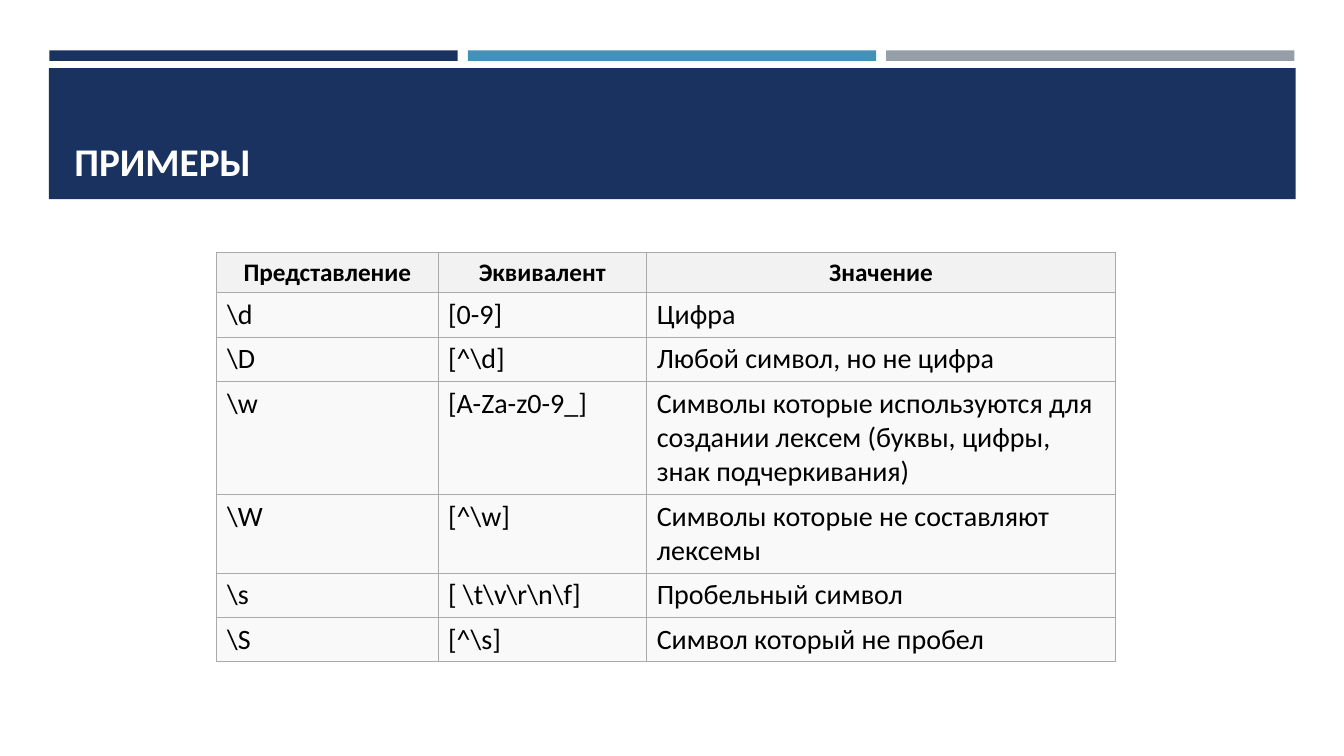
from lxml.etree import SubElement
from pptx import Presentation
from pptx.dml.color import RGBColor
from pptx.enum.shapes import MSO_SHAPE as Shape
from pptx.enum.text import MSO_ANCHOR as Anchor, PP_ALIGN as Align
from pptx.oxml.ns import qn
from pptx.util import Inches, Pt

NAVY, BLUE, GRAY = "1A3260", "4590B8", "969FA7"
WHITE, BLACK = "FFFFFF", "000000"
HEADER_FILL, BODY_FILL, BORDER = "F2F2F2", "F9F9F9", "AAAAAA"

BAR_LEFT, BAR_TOP, BAR_WIDTH, BAR_HEIGHT, BAR_STEP = 3.68, 6.67, 30.38, 1.37, 31.13
TABLE_LEFT, TABLE_TOP = 16.14, 33.33
COLUMN_WIDTHS = [16.45, 15.53, 34.88]
HEADER_HEIGHT, LINE_HEIGHT, CELL_PADDING = 5.4, 4.53, 1.34

HEADERS = ["Представление", "Эквивалент", "Значение"]
EXAMPLES = [
    (r"\d", "[0-9]", "Цифра", 1),
    (r"\D", r"[^\d]", "Любой символ, но не цифра", 1),
    (r"\w", "[A-Za-z0-9_]",
     "Символы которые используются для создании лексем (буквы, цифры, знак подчеркивания)", 3),
    (r"\W", r"[^\w]", "Символы которые не составляют лексемы", 2),
    (r"\s", r"[ \t\v\r\n\f]", "Пробельный символ", 1),
    (r"\S", r"[^\s]", "Символ который не пробел", 1),
]


def color(value):
    return RGBColor.from_string(value)


class SlideBuilder:
    font = "Calibri"

    def __init__(self, presentation):
        self.presentation = presentation
        self.slide = presentation.slides.add_slide(presentation.slide_layouts[6])

    def across(self, percent):
        return round(self.presentation.slide_width * percent / 100)

    def down(self, percent):
        return round(self.presentation.slide_height * percent / 100)

    def box(self, left, top, width, height):
        return self.across(left), self.down(top), self.across(width), self.down(height)

    def rectangle(self, left, top, width, height, fill):
        shape = self.slide.shapes.add_shape(Shape.RECTANGLE, *self.box(left, top, width, height))
        shape.shadow.inherit = False
        shape.fill.solid()
        shape.fill.fore_color.rgb = color(fill)
        shape.line.fill.background()

    def add_text(self, frame, text, size, text_color, bold=False, align=Align.LEFT):
        paragraph = frame.paragraphs[0]
        paragraph.alignment = align
        run = paragraph.add_run()
        run.text = text
        run.font.name = self.font
        run.font.size = Pt(size)
        run.font.bold = bold
        run.font.color.rgb = color(text_color)

    def title(self, left, top, width, height, text):
        shape = self.slide.shapes.add_textbox(*self.box(left, top, width, height))
        frame = shape.text_frame
        frame.word_wrap = True
        frame.vertical_anchor = Anchor.BOTTOM
        self.add_text(frame, text, 28, WHITE, bold=True)

    def table(self, left, top, widths, heights, rows):
        frame = self.slide.shapes.add_table(
            len(rows), len(widths), *self.box(left, top, sum(widths), sum(heights)))
        table = frame.table
        table.first_row = table.horz_banding = False
        for column, width in zip(table.columns, widths):
            column.width = self.across(width)
        for row, height in zip(table.rows, heights):
            row.height = self.down(height)
        for row_index, texts in enumerate(rows):
            for column_index, text in enumerate(texts):
                self.cell(table.cell(row_index, column_index), text, row_index == 0)

    def cell(self, cell, text, is_header):
        self.borders(cell)
        cell.fill.solid()
        cell.fill.fore_color.rgb = color(HEADER_FILL if is_header else BODY_FILL)
        if is_header:
            cell.vertical_anchor = Anchor.MIDDLE
            self.add_text(cell.text_frame, text, 18, BLACK, bold=True, align=Align.CENTER)
        else:
            cell.vertical_anchor = Anchor.TOP
            self.add_text(cell.text_frame, text, 20, BLACK)

    def borders(self, cell):
        properties = cell._tc.get_or_add_tcPr()
        for side in ("a:lnL", "a:lnR", "a:lnT", "a:lnB"):
            line = SubElement(properties, qn(side), w=str(Pt(0.75)))
            fill = SubElement(line, qn("a:solidFill"))
            SubElement(fill, qn("a:srgbClr"), val=BORDER)


def main():
    presentation = Presentation()
    presentation.slide_width = Inches(13.33)
    presentation.slide_height = Inches(7.5)
    builder = SlideBuilder(presentation)
    for index, fill in enumerate([NAVY, BLUE, GRAY]):
        builder.rectangle(BAR_LEFT + index * BAR_STEP, BAR_TOP, BAR_WIDTH, BAR_HEIGHT, fill)
    builder.rectangle(3.64, 9, 92.76, 17.33, NAVY)
    builder.title(4.8, 10.27, 90.47, 14.8, "ПРИМЕРЫ")
    heights = [HEADER_HEIGHT] + [
        CELL_PADDING + lines * LINE_HEIGHT for *_, lines in EXAMPLES]
    rows = [HEADERS] + [texts for *texts, _ in EXAMPLES]
    builder.table(TABLE_LEFT, TABLE_TOP, COLUMN_WIDTHS, heights, rows)
    presentation.save("out.pptx")


if __name__ == "__main__":
    main()
